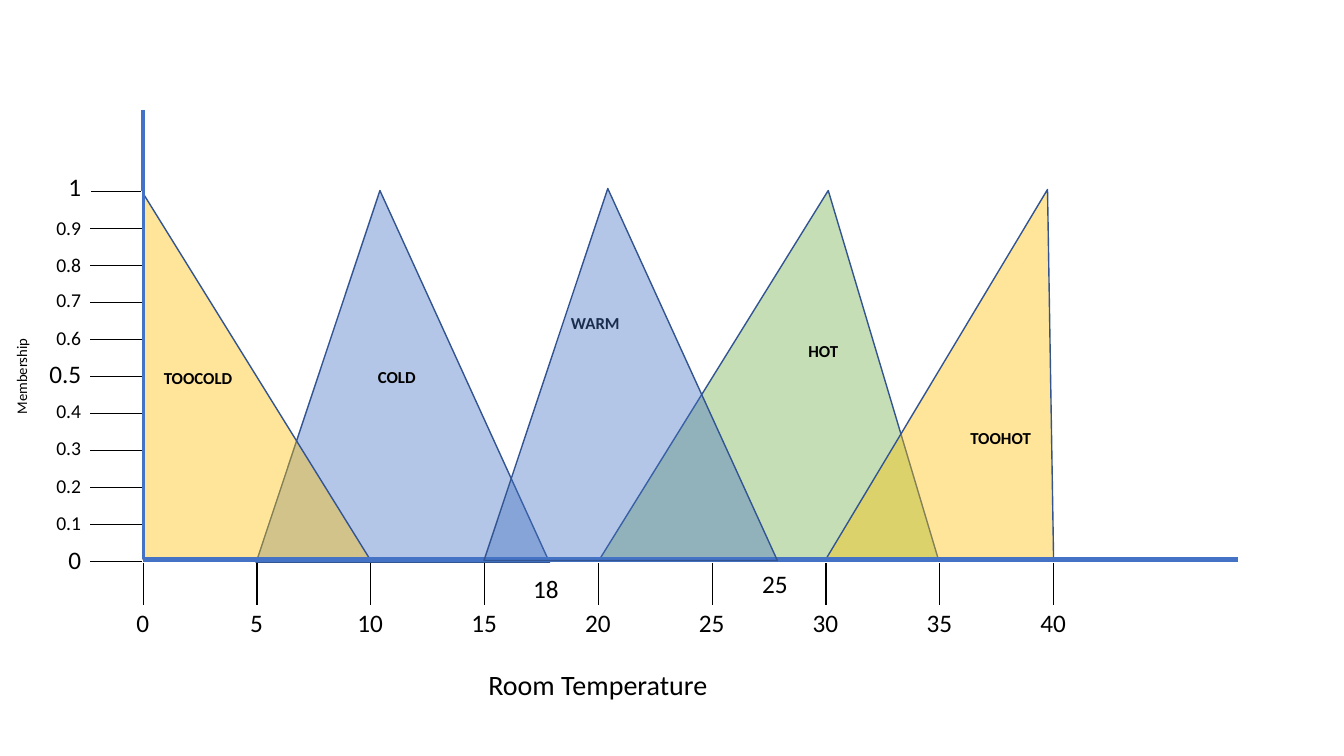
from dataclasses import dataclass

from lxml.etree import SubElement
from pptx import Presentation
from pptx.dml.color import RGBColor as Color
from pptx.enum.shapes import MSO_CONNECTOR as Connector, MSO_SHAPE as Shape
from pptx.enum.text import MSO_AUTO_SIZE as AutoSize, PP_ALIGN as Align
from pptx.oxml import parse_xml
from pptx.oxml.ns import nsdecls, qn
from pptx.util import Inches, Pt


@dataclass(frozen=True)
class Theme:
    font: str = "Calibri"
    ink: str = "000000"
    paper: str = "FFFFFF"
    blue: str = "4472C4"
    green: str = "70AD47"
    yellow: str = "FFC000"
    outline: str = "325491"
    opacity: int = 40
    title: float = 20
    major: float = 18
    minor: float = 14
    label: float = 12
    caption: float = 10.5


class ChartPage:
    def __init__(self, page, theme):
        self.page = page
        self.theme = theme

    def text(self, words, box, size, rotation=0, wrap=True, **formats):
        """Add one line of text; formats go to the paragraph."""
        shape = self.page.shapes.add_textbox(*map(Inches, box))
        shape.rotation = rotation
        frame = shape.text_frame
        frame.word_wrap = wrap
        frame.auto_size = AutoSize.SHAPE_TO_FIT_TEXT
        para = frame.paragraphs[0]
        bold = formats.pop("bold", False)
        for name, value in formats.items():
            setattr(para, name, value)
        span = para.add_run()
        span.text = words
        font_formats = {"name": self.theme.font, "size": Pt(size), "bold": bold}
        for name, value in font_formats.items():
            setattr(span.font, name, value)
        span.font.color.rgb = Color.from_string(self.theme.ink)

    def paint(self, shape, color):
        """Give a set its translucent fill and thin outline."""
        shape.shadow.inherit = False
        shape.fill.solid()
        shape.fill.fore_color.rgb = Color.from_string(color)
        tint = shape.fill._xPr.find(qn("a:solidFill"))[0]
        SubElement(tint, qn("a:alpha"), val=str(self.theme.opacity * 1000))
        shape.line.color.rgb = Color.from_string(self.theme.outline)
        shape.line.width = Pt(1)

    def triangle(self, box, peak, color):
        shape = self.page.shapes.add_shape(Shape.ISOSCELES_TRIANGLE, *map(Inches, box))
        shape.adjustments[0] = peak
        self.paint(shape, color)

    def polygon(self, points, color):
        corners = [tuple(map(Inches, point)) for point in points]
        builder = self.page.shapes.build_freeform(*corners[0])
        builder.add_line_segments(corners[1:], close=True)
        self.paint(builder.convert_to_shape(), color)

    def axis(self, start, end):
        line = self.page.shapes.add_connector(
            Connector.STRAIGHT, *map(Inches, start + end))
        line.line.color.rgb = Color.from_string(self.theme.blue)
        line.line.width = Pt(3)
        SubElement(line._element.spPr, qn("a:effectLst"))

    def tick_table(self, box, rows, columns, borders):
        """Add an empty table whose cell borders are the tick marks."""
        table = self.page.shapes.add_table(rows, columns, *map(Inches, box)).table
        table.first_row = table.horz_banding = False
        for row in table.rows:
            row.height = Inches(box[3] / rows)
        margins = dict.fromkeys(
            ("margin_left", "margin_right", "margin_top", "margin_bottom"), 0)
        for cell in table.iter_cells():
            for name, value in margins.items():
                setattr(cell, name, value)
            cell.fill.solid()
            cell.fill.fore_color.rgb = Color.from_string(self.theme.paper)
            properties = cell._tc.get_or_add_tcPr()
            for place, side in enumerate("LRTB"):
                color = borders.get(side)
                ink = (f'<a:solidFill><a:srgbClr val="{color}"/></a:solidFill>'
                       if color else "<a:noFill/>")
                properties.insert(place, parse_xml(
                    f'<a:ln{side} {nsdecls("a")} w="{Pt(1)}">{ink}</a:ln{side}>'))


def main():
    deck = Presentation()
    deck.slide_width, deck.slide_height = Inches(13.33), Inches(7.5)
    theme = Theme()
    chart = ChartPage(deck.slides.add_slide(deck.slide_layouts[6]), theme)
    left, base, width = 1.42, 5.55, 9.03
    right = left + width

    # Fuzzy sets behind the axes
    chart.triangle((2.54, 1.89, 2.91, 3.69), 0.422, theme.blue)
    chart.triangle((5.94, 1.89, 3.37, 3.67), 0.675, theme.green)
    chart.polygon([(left, base), (left, 1.92), (3.67, base)], theme.yellow)
    chart.polygon([(right, base), (10.39, 1.88), (8.19, base)], theme.yellow)

    # Axes
    chart.axis((left, base), (left, 1.09))
    chart.axis((left, base), (12.28, base))

    # Temperature scale
    steps = 8
    chart.tick_table((left, 5.59, width, 0.41), 1, steps,
                     {"L": theme.ink, "R": theme.ink})
    for step in range(steps + 1):
        degrees = str(step * 5)
        span = 0.33 if len(degrees) == 1 else 0.46
        center = left + step * width / steps
        chart.text(degrees, (center - span / 2, 5.98, span, 0.4),
                   theme.major, wrap=False)

    # Membership scale
    chart.tick_table((0.9, 1.9, 0.5, 3.67), 10, 1,
                     {"L": theme.paper, "R": theme.paper,
                      "T": theme.ink, "B": theme.ink})
    centers = (5.55, 5.19, 4.82, 4.45, 4.08, 3.71, 3.35, 2.98, 2.63, 2.26, 1.85)
    for step, center in enumerate(centers):
        major = step % 5 == 0
        size, height = (theme.major, 0.4) if major else (theme.minor, 0.34)
        span = 0.33 if step % 10 == 0 else 0.52 if major else 0.45
        chart.text(f"{step / 10:g}", (0.91 - span, center - height / 2, span, height),
                   size, wrap=False)

    # Set names
    for name, x, y, span in (
        ("TOOCOLD", 1.5, 3.6, 0.93),
        ("COLD", 3.47, 3.59, 0.93),
        ("WARM", 5.44, 3.05, 0.93),
        ("HOT", 7.62, 3.33, 1.09),
        ("TOOHOT", 9.46, 4.19, 0.93),
    ):
        chart.text(name, (x, y, span, 0.3), theme.label,
                   alignment=Align.CENTER, bold=True)

    # Axis titles
    chart.text("Room Temperature", (1.41, 6.57, 9.04, 0.44), theme.title,
               alignment=Align.CENTER)
    chart.text("Membership", (-1.62, 3.59, 3.68, 0.29), theme.caption,
               rotation=270, alignment=Align.CENTER)

    # Warm set in front, with the extra limits
    chart.text("18", (5.19, 5.64, 0.46, 0.4), theme.major)
    chart.triangle((4.8, 1.87, 2.91, 3.69), 0.422, theme.blue)
    chart.text("25", (7.46, 5.59, 0.46, 0.4), theme.major)

    deck.save("out.pptx")


if __name__ == "__main__":
    main()
